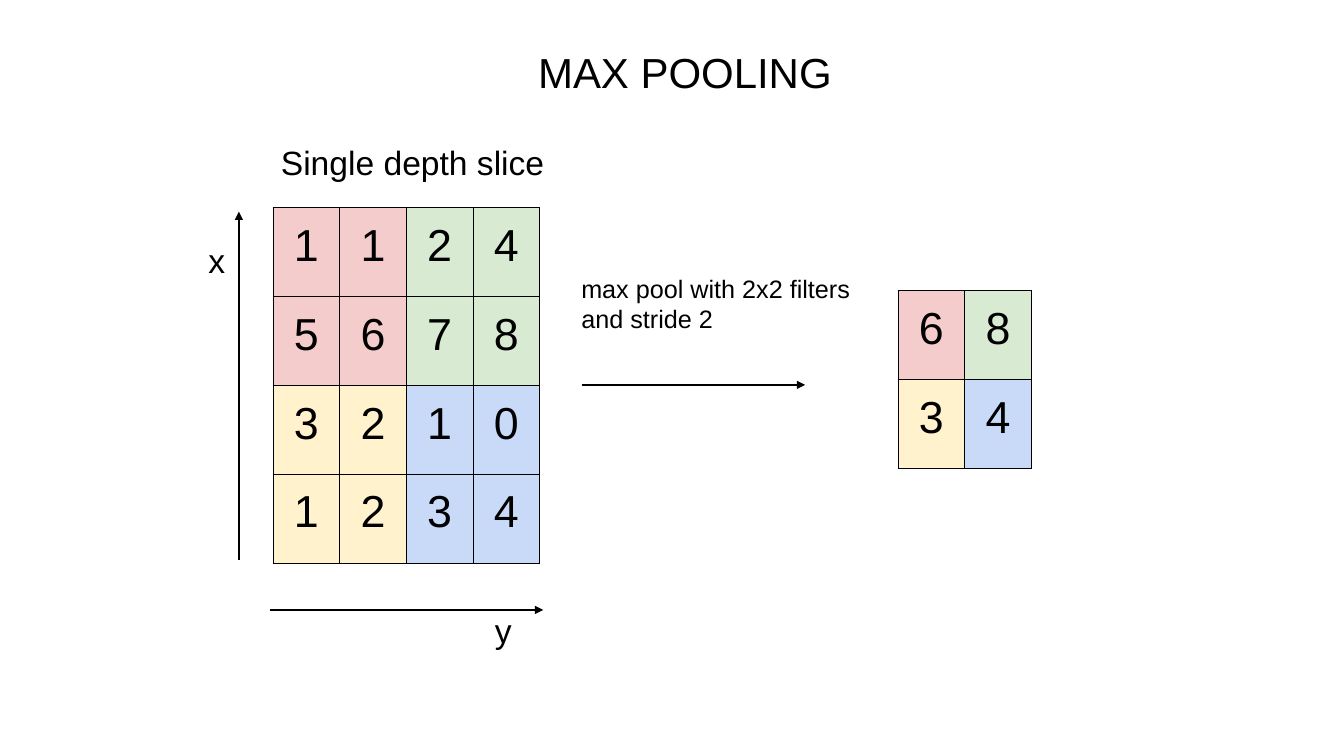
from lxml import etree
from pptx import Presentation
from pptx.dml.color import RGBColor
from pptx.enum.shapes import MSO_CONNECTOR
from pptx.enum.text import MSO_ANCHOR, MSO_AUTO_SIZE, PP_ALIGN
from pptx.oxml import parse_xml
from pptx.oxml.ns import nsdecls, qn
from pptx.util import Cm, Pt

STRAIGHT = MSO_CONNECTOR.STRAIGHT
TOP = MSO_ANCHOR.TOP
NO_FIT = MSO_AUTO_SIZE.NONE
LEFT, CENTER = PP_ALIGN.LEFT, PP_ALIGN.CENTER

COLORS = {
    "ink": "000000",
    "red": "F4CCCC",
    "green": "D9EAD3",
    "yellow": "FFF2CC",
    "blue": "C9DAF8",
}
QUADRANTS = [["red", "green"], ["yellow", "blue"]]
DEPTH_SLICE = [[1, 1, 2, 4], [5, 6, 7, 8], [3, 2, 1, 0], [1, 2, 3, 4]]
STRIDE = 2
CELL_W, CELL_H = 1.68, 2.24
FRAME = {
    "word_wrap": True,
    "auto_size": NO_FIT,
    "vertical_anchor": TOP,
    "margin_left": Cm(0.25),
    "margin_right": Cm(0.25),
    "margin_top": Cm(0.25),
    "margin_bottom": Cm(0.25),
}
CELL = {
    "vertical_anchor": TOP,
    "margin_left": Cm(0.25),
    "margin_right": Cm(0.25),
    "margin_top": Cm(0.33),
    "margin_bottom": Cm(0.33),
}


def apply_format(target, values):
    for name, value in values.items():
        setattr(target, name, value)


def rgb(name):
    return RGBColor.from_string(COLORS[name])


def write(tf, text, size, align=LEFT):
    p = tf.paragraphs[0]
    p.alignment = align
    r = p.add_run()
    r.text = text
    apply_format(r.font, {"name": "Arial", "size": Pt(size)})
    r.font.color.rgb = rgb("ink")


def fill_text(sp, text, size):
    apply_format(sp.text_frame, FRAME)
    write(sp.text_frame, text, size)


def add_title(s, text, x, y, w, h, size):
    sp = s.shapes.title
    apply_format(sp, {"left": Cm(x), "top": Cm(y), "width": Cm(w), "height": Cm(h)})
    fill_text(sp, text, size)


def add_label(s, text, x, y, w, h, size):
    fill_text(s.shapes.add_textbox(Cm(x), Cm(y), Cm(w), Cm(h)), text, size)


def add_arrow(s, x1, y1, x2, y2):
    sp = s.shapes.add_connector(STRAIGHT, Cm(x1), Cm(y1), Cm(x2), Cm(y2))
    sp.line.color.rgb = rgb("ink")
    sp.line.width = Pt(1.5)
    etree.SubElement(sp.line._get_or_add_ln(), qn("a:tailEnd"), type="triangle")
    etree.SubElement(sp._element.spPr, qn("a:effectLst"))


def add_borders(cell):
    tc_pr = cell._tc.get_or_add_tcPr()
    for i, side in enumerate(("lnL", "lnR", "lnT", "lnB")):
        tc_pr.insert(i, parse_xml(
            f'<a:{side} {nsdecls("a")} w="{Pt(0.75)}"><a:solidFill>'
            f'<a:srgbClr val="{COLORS["ink"]}"/></a:solidFill></a:{side}>'))


def add_matrix(s, values, x, y):
    n = len(values)
    block = n // len(QUADRANTS)
    table = s.shapes.add_table(
        n, n, Cm(x), Cm(y), Cm(n * CELL_W), Cm(n * CELL_H)).table
    apply_format(table, {"first_row": False, "horz_banding": False})
    for i, row in enumerate(values):
        table.rows[i].height = Cm(CELL_H)
        table.columns[i].width = Cm(CELL_W)
        for j, value in enumerate(row):
            cell = table.cell(i, j)
            apply_format(cell, CELL)
            write(cell.text_frame, str(value), 32, CENTER)
            cell.fill.solid()
            cell.fill.fore_color.rgb = rgb(QUADRANTS[i // block][j // block])
            add_borders(cell)


def max_pool(values):
    steps = range(0, len(values), STRIDE)
    return [[max(max(row[j:j + STRIDE]) for row in values[i:i + STRIDE])
             for j in steps] for i in steps]


def main():
    prs = Presentation()
    prs.slide_width, prs.slide_height = Cm(33.87), Cm(19.05)
    s = prs.slides.add_slide(prs.slide_layouts[5])

    add_title(s, "MAX POOLING", 13.31, 0.91, 10.85, 2.46, 30)
    add_matrix(s, DEPTH_SLICE, 6.88, 5.23)
    add_label(s, "Single depth slice", 6.83, 3.33, 7.85, 2.08, 24)
    add_arrow(s, 6.02, 14.1, 6.02, 5.33)
    add_label(s, "x", 5, 5.79, 1.09, 1.73, 24)
    add_arrow(s, 6.81, 15.37, 13.69, 15.37)
    add_label(s, "y", 12.22, 15.11, 1.09, 1.35, 24)
    add_arrow(s, 14.66, 9.7, 20.29, 9.7)
    add_label(s, "max pool with 2x2 filters and stride 2",
              14.4, 6.63, 7.44, 2.69, 18)
    add_matrix(s, max_pool(DEPTH_SLICE), 22.63, 7.32)

    prs.save("out.pptx")


if __name__ == "__main__":
    main()
